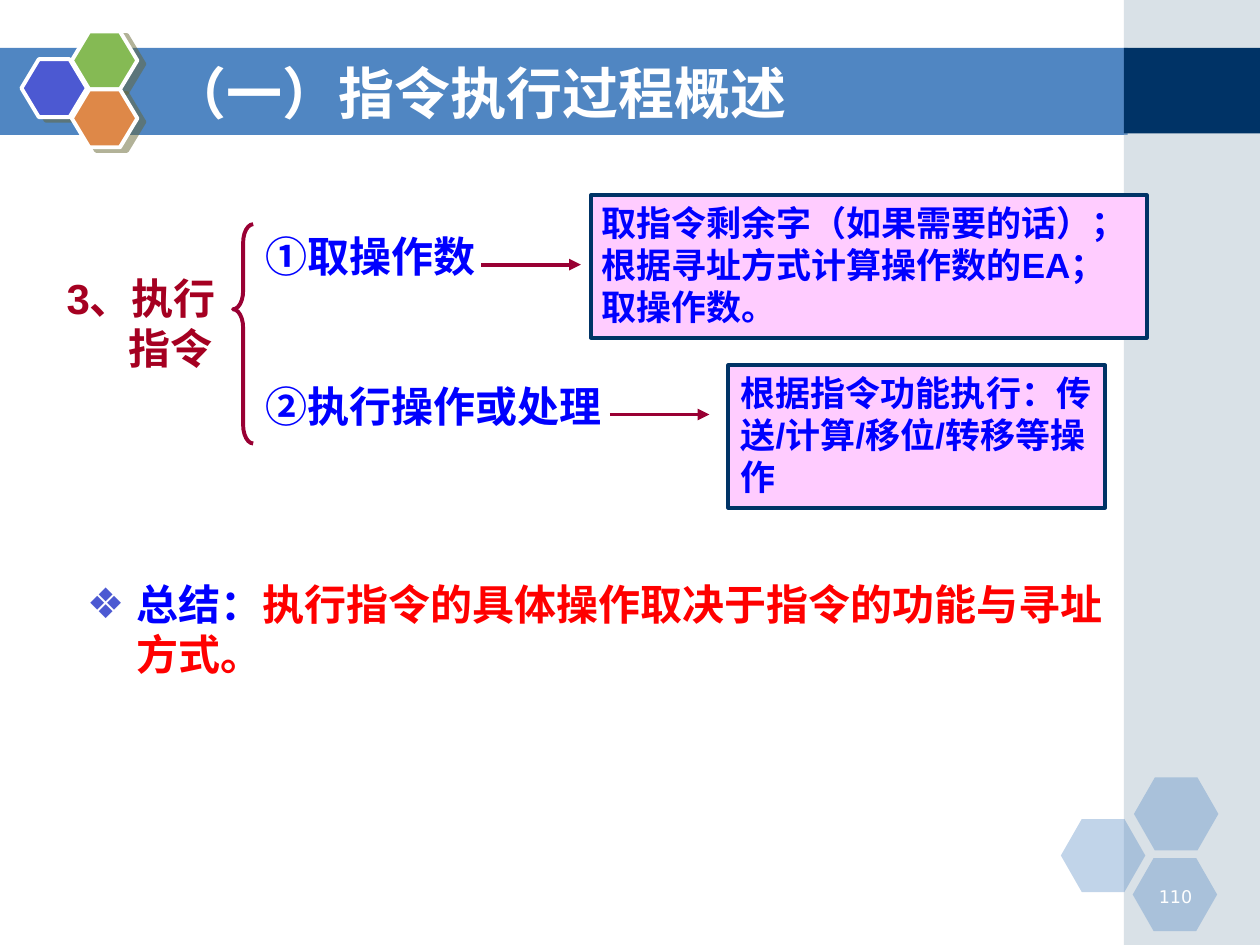
from lxml.etree import SubElement
from pptx import Presentation
from pptx.dml.color import RGBColor
from pptx.enum.shapes import MSO_CONNECTOR, MSO_SHAPE
from pptx.enum.text import MSO_ANCHOR, MSO_AUTO_SIZE, PP_ALIGN
from pptx.oxml.ns import qn
from pptx.util import Inches, Pt

COLORS = {
    "white": "FFFFFF", "band": "5086C2", "navy": "003366", "side": "A0B5C4",
    "indigo": "4C59D2", "green": "85BA54", "orange": "DE8848", "shadow": "666633",
    "blue": "0000FF", "red": "FF0000", "crimson": "A50021", "wine": "990033",
    "pink": "FFCCFF",
}
CJK_FONT = "Noto Sans CJK SC"


def rgb(name):
    return RGBColor.from_string(COLORS[name])


def add_figure(page, kind, box, fill=None, line=None, alpha=None):
    figure = page.shapes.add_shape(kind, *map(Inches, box))
    figure.shadow.inherit = False
    if fill:
        figure.fill.solid()
        figure.fill.fore_color.rgb = rgb(fill)
    else:
        figure.fill.background()
    if alpha:
        color = figure.element.spPr.find(qn("a:solidFill"))[0]
        SubElement(color, qn("a:alpha"), val=str(alpha * 1000))
    if line:
        figure.line.color.rgb = rgb(line)
        figure.line.width = Pt(2.25)
    else:
        figure.line.fill.background()
    return figure


def add_hexagon(page, box, adjustment, **style):
    hexagon = add_figure(page, MSO_SHAPE.HEXAGON, box, **style)
    hexagon.adjustments[0] = adjustment
    return hexagon


def add_span(para, text, size, color, bold=True, font="Arial"):
    span = para.add_run()
    span.text = text
    span.font.size = Pt(size)
    span.font.bold = bold
    span.font.name = font
    span.font.color.rgb = rgb(color)
    SubElement(span.font._element, qn("a:ea"), typeface=CJK_FONT)


def place(holder, box):
    holder.left, holder.top, holder.width, holder.height = map(Inches, box)
    holder.element.getparent().append(holder.element)


def set_hanging(para, indent):
    properties = para._p.get_or_add_pPr()
    properties.set("marL", str(Inches(indent)))
    properties.set("indent", str(-Inches(indent)))
    return properties


def add_label(page, box, text, size=24, color="blue", wrap=False, **style):
    label = page.shapes.add_textbox(*map(Inches, box))
    label.text_frame.word_wrap = wrap
    para = label.text_frame.paragraphs[0]
    add_span(para, text, size, color, **style)
    return para


def add_note(page, box, lines, right_inset=0.1):
    note = add_figure(page, MSO_SHAPE.RECTANGLE, box, fill="pink", line="navy")
    frame = note.text_frame
    frame.word_wrap = True
    frame.vertical_anchor = MSO_ANCHOR.TOP
    frame.margin_left = Inches(0.08 if right_inset == 0 else 0.1)
    frame.margin_right = Inches(right_inset)
    for number, line in enumerate(lines):
        para = frame.add_paragraph() if number else frame.paragraphs[0]
        para.alignment = PP_ALIGN.LEFT
        add_span(para, line, 20, "blue")


def add_arrow(page, left, top, length):
    arrow = page.shapes.add_connector(
        MSO_CONNECTOR.STRAIGHT, Inches(left), Inches(top), Inches(left + length), Inches(top))
    arrow.line.color.rgb = rgb("wine")
    arrow.line.width = Pt(2.25)
    SubElement(arrow.line._get_or_add_ln(), qn("a:tailEnd"), type="triangle")
    SubElement(arrow.element.spPr, qn("a:effectLst"))


def add_backdrop(page):
    add_figure(page, MSO_SHAPE.RECTANGLE, (0, 0.38, 8.95, 0.69), fill="band")
    add_figure(page, MSO_SHAPE.RECTANGLE, (8.92, 0, 1.08, 7.5), fill="side", alpha=40)
    add_figure(page, MSO_SHAPE.RECTANGLE, (8.92, 0.38, 1.08, 0.68), fill="navy")
    for left, top in ((8.42, 6.5), (9, 6.17), (8.99, 6.81)):
        add_hexagon(page, (left, top, 0.67, 0.58), 0.286, fill="band", alpha=35)
    for left, top, color in ((0.17, 0.47, "indigo"), (0.57, 0.25, "green"), (0.57, 0.71, "orange")):
        hexagon = add_hexagon(page, (left, top, 0.52, 0.46), 0.3, fill=color, line="white")
        effects = hexagon.element.spPr.find(qn("a:effectLst"))
        shadow = SubElement(effects, qn("a:outerShdw"), dist=str(Pt(4.5)), dir=str(27 * 60000))
        tint = SubElement(shadow, qn("a:srgbClr"), val=COLORS["shadow"])
        SubElement(tint, qn("a:alpha"), val="50000")


def add_heading(page, box):
    title = page.shapes.title
    place(title, box)
    frame = title.text_frame
    frame.auto_size = MSO_AUTO_SIZE.NONE
    frame.vertical_anchor = MSO_ANCHOR.MIDDLE
    para = frame.paragraphs[0]
    para.alignment = PP_ALIGN.LEFT
    add_span(para, "（一）指令执行过程概述", 32, "white", font=CJK_FONT)


def add_steps(page):
    para = add_label(page, (0.43, 2.11, 1.57, 0.9), "3、执行指令", color="crimson", wrap=True)
    set_hanging(para, 0.49)
    brace = add_figure(page, MSO_SHAPE.LEFT_BRACE, (1.85, 1.78, 0.16, 1.74), line="wine")
    brace.adjustments[0] = 0.92
    brace.adjustments[1] = 0.388
    add_label(page, (2.01, 1.78, 1.88, 0.5), "①取操作数")
    add_arrow(page, 3.82, 2.1, 0.79)
    add_note(page, (4.69, 1.55, 4.41, 1.13), (
        "取指令剩余字（如果需要的话）；",
        "根据寻址方式计算操作数的EA；",
        "取操作数。",
    ), right_inset=0)
    add_label(page, (2.01, 2.97, 2.88, 0.5), "②执行操作或处理")
    add_arrow(page, 4.84, 3.29, 0.79)
    add_note(page, (5.78, 2.9, 2.99, 1.13), ("根据指令功能执行：传送/计算/移位/转移等操作",))


def add_summary(page, box):
    body = page.placeholders[1]
    place(body, box)
    body.text_frame.auto_size = MSO_AUTO_SIZE.NONE
    para = body.text_frame.paragraphs[0]
    para.space_before = Pt(0)
    properties = set_hanging(para, 0.39)
    bullet_color = SubElement(properties, qn("a:buClr"))
    SubElement(bullet_color, qn("a:srgbClr"), val=COLORS["indigo"])
    SubElement(properties, qn("a:buChar"), char="❖")
    add_span(para, "总结：", 24, "blue")
    add_span(para, "执行指令的具体操作取决于指令的功能与寻址方式。", 24, "red")


def main():
    deck = Presentation()
    deck.slide_width, deck.slide_height = Inches(10), Inches(7.5)
    page = deck.slides.add_slide(deck.slide_layouts[1])
    add_backdrop(page)
    add_heading(page, (1.25, 0.42, 7.33, 0.62))
    add_steps(page)
    add_summary(page, (0.59, 4.54, 8.27, 0.9))
    number = add_label(page, (9.06, 6.98, 0.5, 0.25), "110", 10, "white", True,
                       bold=False, font="DejaVu Sans")
    number.alignment = PP_ALIGN.RIGHT
    deck.save("out.pptx")


if __name__ == "__main__":
    main()
